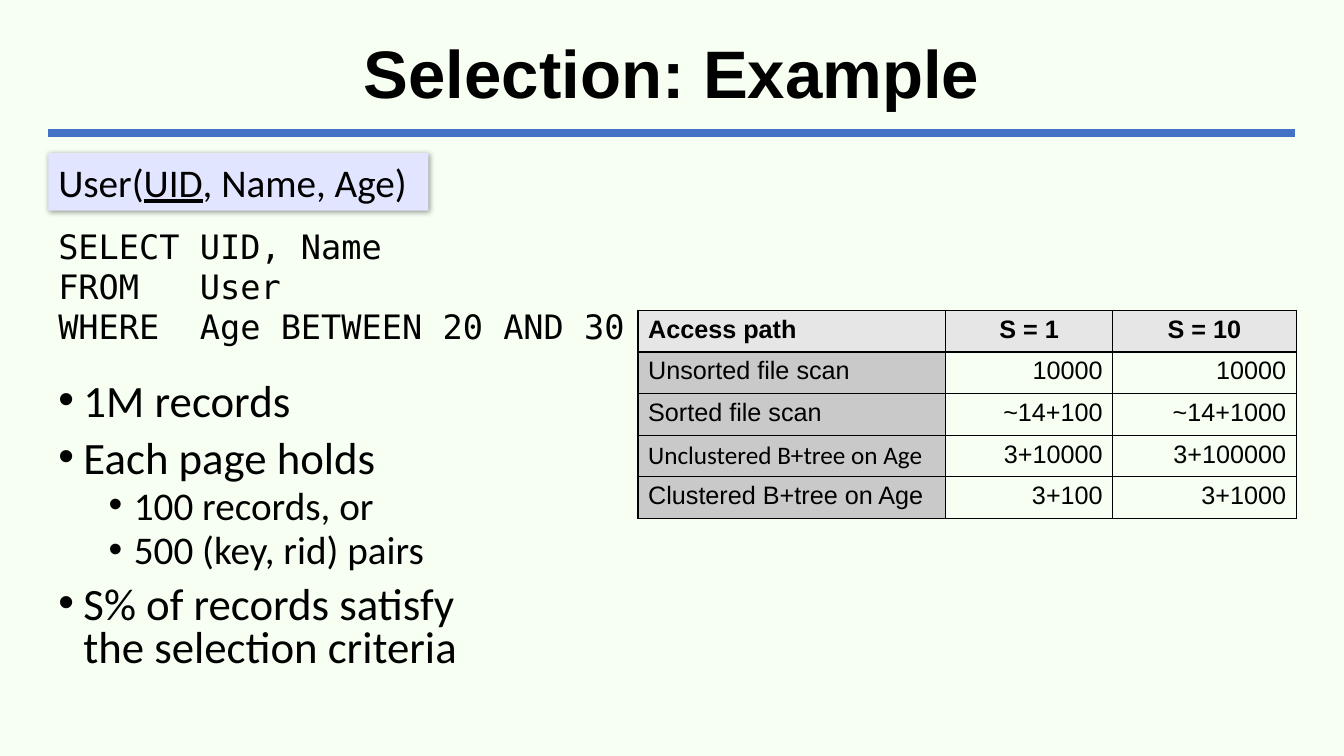
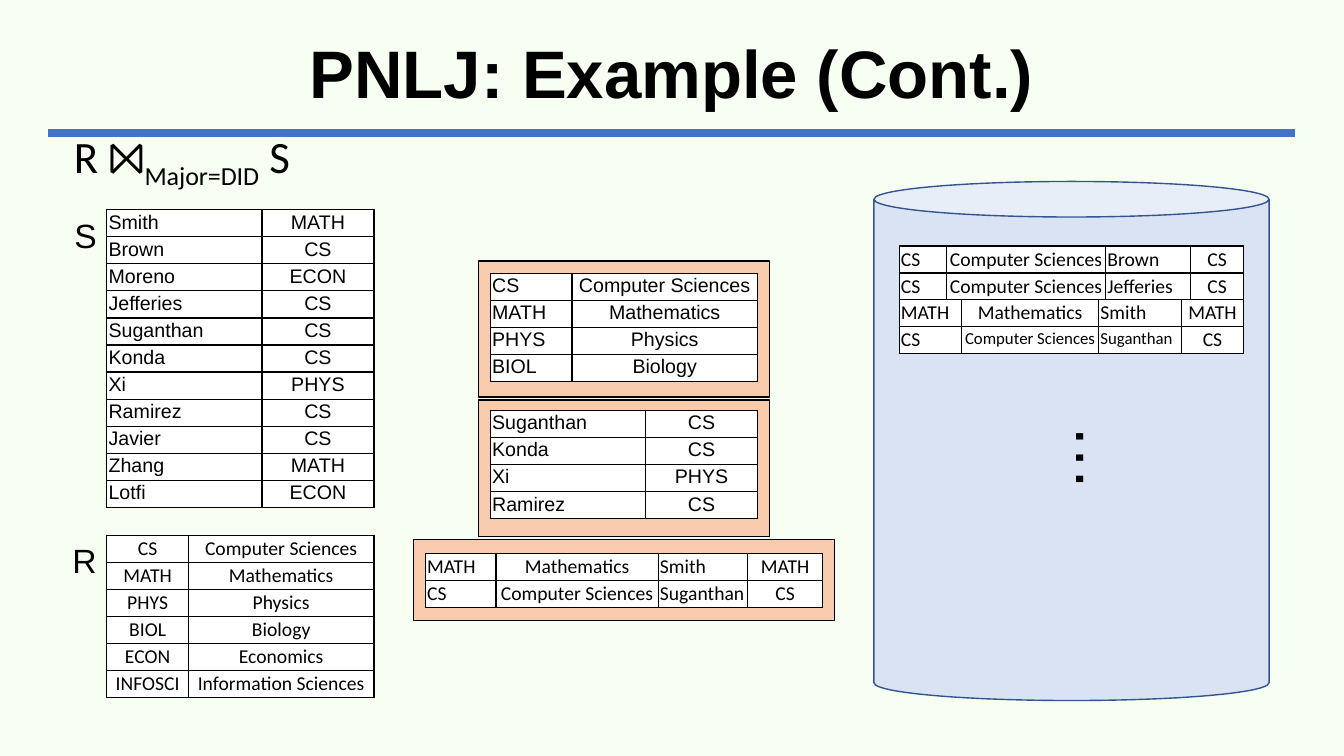
from lxml.etree import SubElement
from pptx import Presentation
from pptx.dml.color import RGBColor
from pptx.enum.shapes import MSO_CONNECTOR, MSO_SHAPE as SHAPE
from pptx.enum.text import MSO_ANCHOR as ANCHOR, PP_ALIGN
from pptx.oxml.ns import qn
from pptx.util import Inches, Pt

# Content
ACCESS_COSTS = [
    ("Access path", "S = 1", "S = 10"),
    ("Unsorted file scan", "10000", "10000"),
    ("Sorted file scan", "~14+100", "~14+1000"),
    ("Unclustered B+tree on Age", "3+10000", "3+100000"),
    ("Clustered B+tree on Age", "3+100", "3+1000"),
]
SCHEMA = [("User(", {}), ("UID", {"underline": True}), (", Name, Age)", {})]
QUERY = ["SELECT UID, Name", "FROM   User", "WHERE  Age BETWEEN 20 AND 30"]
ASSUMPTIONS = [
    (0, "1M records"),
    (0, "Each page holds"),
    (1, "100 records, or"),
    (1, "500 (key, rid) pairs"),
    (0, "S% of records satisfy the selection criteria"),
]
STUDENTS = [
    ("Smith", "MATH"), ("Brown", "CS"), ("Moreno", "ECON"), ("Jefferies", "CS"),
    ("Suganthan", "CS"), ("Konda", "CS"), ("Xi", "PHYS"), ("Ramirez", "CS"),
    ("Javier", "CS"), ("Zhang", "MATH"), ("Lotfi", "ECON"),
]
DEPARTMENTS = [
    ("CS", "Computer Sciences"), ("MATH", "Mathematics"), ("PHYS", "Physics"),
    ("BIOL", "Biology"), ("ECON", "Economics"), ("INFOSCI", "Information Sciences"),
]
JOINED = [
    ("MATH", "Mathematics", "Smith", "MATH"),
    ("CS", "Computer Sciences", "Suganthan", "CS"),
]
WRITTEN = [
    ("CS", "Computer Sciences", "Brown", "CS"),
    ("CS", "Computer Sciences", "Jefferies", "CS"),
]
STUDENT_COLS, DEPARTMENT_COLS = (1.54, 1.11), (0.81, 1.84)
JOIN = [("R ⨝", {}), ("Major=DID", {"baseline": -25000}), (" S", {})]

# Shared look
BLACK, WHITE, PAPER, RULE = "000000", "FFFFFF", "F7FFF3", "4472C4"
LILAC, HEADER, LABEL = "E2E5FF", "E7E6E6", "C9C9C9"
PEACH, DISK, DISK_EDGE = "F8CBAD", "DAE3F3", "325491"
SANS, BODY, MONO = "Arial", "Calibri", "DejaVu Sans Mono"
ALIGN = {"l": PP_ALIGN.LEFT, "c": PP_ALIGN.CENTER, "r": PP_ALIGN.RIGHT}
LEFT, WIDTH = 0.48, 12.37
TUPLE_ROW = 1.09 / 4
COST_ROW = 1.65 / 4


def rgb(value):
    return RGBColor.from_string(value)


def inches(*lengths):
    return [Inches(length) for length in lengths]


def write(paragraph, runs, size, font=BODY, align="l", bold=False):
    """Fill a paragraph with a string or with (text, format) runs."""
    paragraph.alignment = ALIGN[align]
    for text, extra in [(runs, {})] if isinstance(runs, str) else runs:
        run = paragraph.add_run()
        run.text = text
        run.font.color.rgb = rgb(BLACK)
        look = {"size": Pt(size), "name": font, "bold": bold, **extra}
        baseline = look.pop("baseline", None)
        for key, value in look.items():
            setattr(run.font, key, value)
        if baseline:
            run._r.get_or_add_rPr().set("baseline", str(baseline))


def add_text(slide, place, lines, size, font=BODY, align="l", bold=False,
             wrap=True, anchor=ANCHOR.TOP):
    box = slide.shapes.add_textbox(*inches(*place))
    frame = box.text_frame
    frame.word_wrap, frame.vertical_anchor = wrap, anchor
    for number, line in enumerate(lines):
        paragraph = frame.add_paragraph() if number else frame.paragraphs[0]
        write(paragraph, line, size, font, align, bold)
    return box


def set_fill(part, color):
    if color:
        part.fill.solid()
        part.fill.fore_color.rgb = rgb(color)
    else:
        part.fill.background()


def add_block(slide, kind, place, fill=None, edge=None):
    block = slide.shapes.add_shape(kind, *inches(*place))
    block.shadow.inherit = False
    set_fill(block, fill)
    if edge:
        block.line.color.rgb = rgb(edge)
        block.line.width = Pt(1)
    else:
        block.line.fill.background()
    return block


def add_soft_shadow(shape):
    effects = shape._element.spPr.find(qn("a:effectLst"))
    shadow = SubElement(effects, qn("a:outerShdw"), blurRad=str(Pt(4)),
                        dist=str(Pt(1)), dir=str(45 * 60000), rotWithShape="0")
    color = SubElement(shadow, qn("a:srgbClr"), val=BLACK)
    SubElement(color, qn("a:alpha"), val="40000")


def add_borders(cell):
    properties = cell._tc.get_or_add_tcPr()
    for side in ("lnL", "lnR", "lnT", "lnB"):
        line = SubElement(properties, qn(f"a:{side}"), w=str(Pt(1)))
        fill = SubElement(line, qn("a:solidFill"))
        SubElement(fill, qn("a:srgbClr"), val=BLACK)


def add_grid(slide, left, top, cols, height, rows, style, row_height):
    """Draw a bordered table; style(row, col) gives fill, inset and text look.

    A row height of 0 lets the rows share the height of the table.
    """
    holder = slide.shapes.add_table(
        len(rows), len(cols), *inches(left, top, sum(cols), height))
    table = holder.table
    table.first_row = table.horz_banding = False
    for column, width in zip(table.columns, cols):
        column.width = Inches(width)
    for r, row in enumerate(rows):
        table.rows[r].height = Inches(row_height)
        for c, text in enumerate(row):
            cell = table.cell(r, c)
            fill, inset, look = style(r, c)
            add_borders(cell)
            set_fill(cell, fill)
            if inset is not None:
                for side in ("left", "right", "top", "bottom"):
                    setattr(cell, f"margin_{side}", inset)
            write(cell.text_frame.paragraphs[0], text, **look)
    holder.height = Inches(height)


def add_costs(slide, left, top, cols):
    """Stack one strip per access path, the header strip first."""
    for number, strip in enumerate(ACCESS_COSTS):
        def style(row, col):
            if number == 0:
                return HEADER, None, {"size": 18, "font": SANS, "bold": True,
                                      "align": "c" if col else "l"}
            font = BODY if (number, col) == (3, 0) else SANS
            return (None if col else LABEL), None, {
                "size": 18, "font": font, "align": "r" if col else "l"}
        add_grid(slide, left, top + number * COST_ROW, cols, COST_ROW, [strip],
                 style, COST_ROW)


def add_tuples(slide, left, top, cols, rows, font=BODY, aligns="lclc", small=()):
    """Draw database tuples; cells listed in small are set in 12 point."""
    def style(row, col):
        size = 12 if (row, col) in small else 14
        return WHITE, Pt(1.25), {"size": size, "font": font, "align": aligns[col]}
    add_grid(slide, left, top, cols, TUPLE_ROW * len(rows), rows, style, 0)


def add_slide(deck, title):
    slide = deck.slides.add_slide(deck.slide_layouts[6])
    set_fill(slide.background, PAPER)
    rule = slide.shapes.add_connector(
        MSO_CONNECTOR.STRAIGHT, *inches(LEFT, 1.32, LEFT + WIDTH, 1.32))
    rule.line.color.rgb = rgb(RULE)
    rule.line.width = Pt(6)
    SubElement(rule._element.spPr, qn("a:effectLst"))
    heading = add_text(slide, (LEFT, 0.24, WIDTH, 1.04), [title], 48, SANS, "c",
                       bold=True, anchor=ANCHOR.MIDDLE)
    heading.text_frame.paragraphs[0].line_spacing = 0.9
    return slide


def add_bullets(slide, place, items):
    frame = add_text(slide, place, [], 32).text_frame
    for number, (level, text) in enumerate(items):
        paragraph = frame.add_paragraph() if number else frame.paragraphs[0]
        write(paragraph, text, 28 if level else 32)
        paragraph.level = level
        paragraph.line_spacing = 0.8
        paragraph.space_before = Pt(5 if level else 10)
        properties = paragraph._p.get_or_add_pPr()
        properties.set("marL", str(Inches(0.25 + 0.5 * level)))
        properties.set("indent", str(Inches(-0.25)))
        SubElement(properties, qn("a:buFont"), typeface=SANS)
        SubElement(properties, qn("a:buChar"), char="•")


def build_selection(deck):
    slide = add_slide(deck, "Selection: Example")
    add_bullets(slide, (LEFT, 3.75, 4.78, 3.2), ASSUMPTIONS)
    schema = add_block(slide, SHAPE.RECTANGLE, (LEFT, 1.52, 3.77, 0.57), LILAC)
    add_soft_shadow(schema)
    schema.text_frame.vertical_anchor = ANCHOR.TOP
    write(schema.text_frame.paragraphs[0], SCHEMA, 28)
    add_text(slide, (LEFT, 2.19, 5.85, 1.31), QUERY, 24, MONO)
    add_costs(slide, 6.33, 3.08, (3.05, 1.66, 1.82))


def build_join(deck):
    slide = add_slide(deck, "PNLJ: Example (Cont.)")
    join = add_block(slide, SHAPE.OVAL, (0.28, 1.22, 3.05, 0.73)).text_frame
    join.word_wrap, join.vertical_anchor = False, ANCHOR.MIDDLE
    write(join.paragraphs[0], JOIN, 32, align="c")

    # Relations on the left
    for name, left, top, width in (("S", 0.64, 2.08, 0.36), ("R", 0.62, 5.31, 0.4)):
        add_text(slide, (left, top, width, 0.5), [name], 24, SANS, wrap=False)
    add_tuples(slide, 1.06, 2.08, STUDENT_COLS, STUDENTS, SANS)
    add_tuples(slide, 1.06, 5.31, DEPARTMENT_COLS, DEPARTMENTS, aligns="cc")

    # Memory pages stacked in the middle
    center, top, gap, pad_x, pad_y = 6.19, 2.59, 0.03, 0.12, 0.26
    for cols, rows, font, inset in (
        (DEPARTMENT_COLS, DEPARTMENTS[:4], SANS, 0.12),
        (STUDENT_COLS, STUDENTS[4:8], SANS, 0.1),
        ((0.7, 1.61, 0.89, 0.74), JOINED, BODY, 0.14),
    ):
        width = sum(cols)
        left = center - width / 2
        height = TUPLE_ROW * len(rows) + pad_y
        add_block(slide, SHAPE.RECTANGLE,
                  (left - pad_x, top, width + 2 * pad_x, height), PEACH, BLACK)
        add_tuples(slide, left, top + inset, cols, rows, font)
        top += height + gap

    # Disk on the right
    disk = add_block(slide, SHAPE.CAN, (8.67, 1.8, 3.92, 5.15), DISK, DISK_EDGE)
    disk.adjustments[0] = 0.09
    add_tuples(slide, 8.92, 2.44, (0.47, 1.58, 0.84, 0.53), WRITTEN)
    add_tuples(slide, 8.92, 2.97, (0.62, 1.36, 0.82, 0.62), JOINED,
               small=((1, 1), (1, 2)))
    more = add_text(slide, (10.4, 4.09, 1.07, 0.91), ["…"], 48, SANS, "c")
    more.rotation = 90


def main():
    deck = Presentation()
    deck.slide_width, deck.slide_height = Inches(40) // 3, Inches(7.5)
    build_selection(deck)
    build_join(deck)
    deck.save("out.pptx")


if __name__ == "__main__":
    main()
